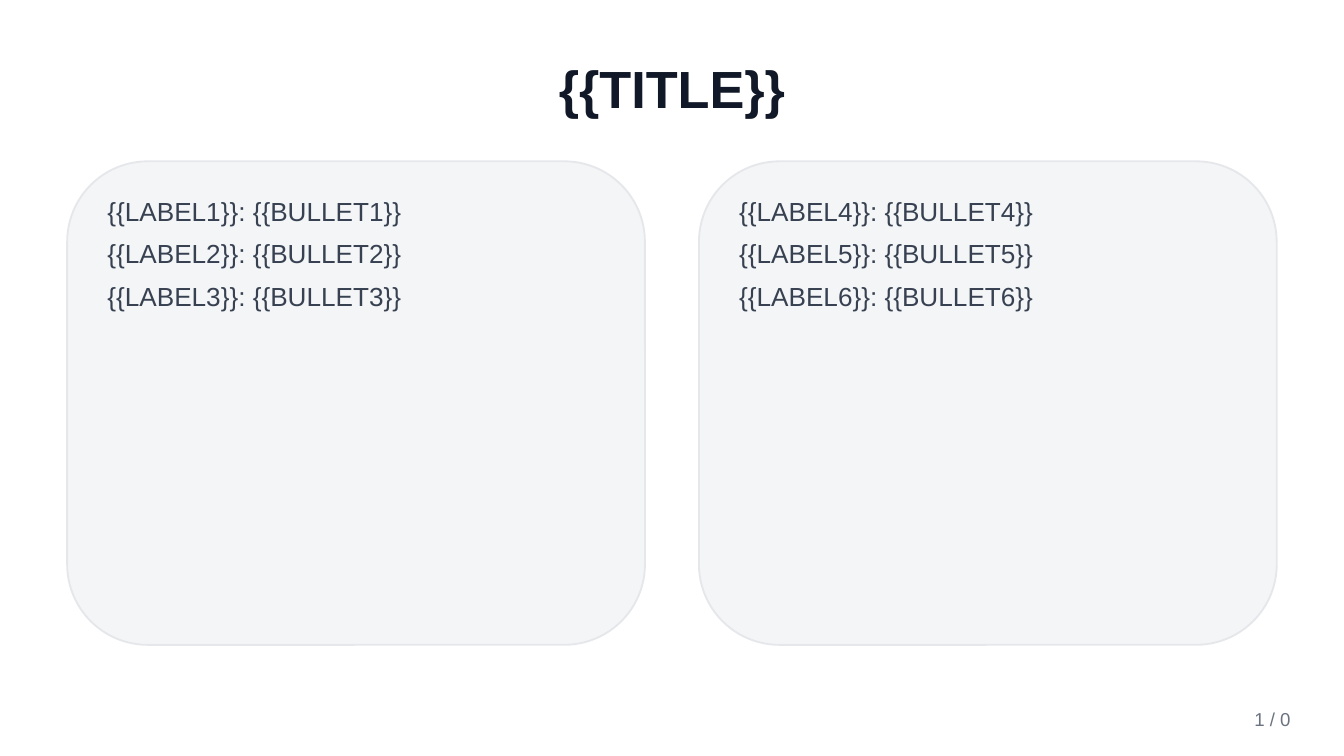
"""Build a title slide with two rounded panels of labelled bullets and a page number."""
from lxml import etree
from pptx import Presentation
from pptx.dml.color import RGBColor
from pptx.enum import shapes, text
from pptx.oxml.ns import qn
from pptx.util import Cm, Pt


def color(hex_string):
    return RGBColor.from_string(hex_string)


def write(box, lines, size, ink, align, anchor, bold=False, space_after=0):
    frame = box.text_frame
    frame.word_wrap = True
    frame.auto_size = text.MSO_AUTO_SIZE.NONE
    frame.vertical_anchor = anchor
    frame.text = "\n".join(lines)
    for paragraph in frame.paragraphs:
        paragraph.alignment = align
        paragraph.space_after = Pt(space_after)
        paragraph.font.name = "Arial"
        paragraph.font.size = Pt(size)
        paragraph.font.bold = bold
        paragraph.font.color.rgb = color(ink)


deck = Presentation()
deck.slide_width, deck.slide_height = Cm(25.4), Cm(14.29)
slide = deck.slides.add_slide(deck.slide_layouts[5])
slide.background.fill.solid()
slide.background.fill.fore_color.rgb = color("FFFFFF")

title = slide.shapes.title
title.left, title.top, title.width, title.height = Cm(1.27), Cm(0.76), Cm(22.86), Cm(1.78)
write(title, ["{{TITLE}}"], 28, "111827", text.PP_ALIGN.CENTER, text.MSO_ANCHOR.MIDDLE, bold=True)

panel_top, panel_width, panel_height = Cm(3.05), Cm(10.92), Cm(9.14)
padding = Cm(0.51)
for panel_left, numbers in ((Cm(1.27), (1, 2, 3)), (Cm(13.21), (4, 5, 6))):
    panel = slide.shapes.add_shape(
        shapes.MSO_SHAPE.ROUNDED_RECTANGLE, panel_left, panel_top, panel_width, panel_height)
    panel.shadow.inherit = False
    panel.fill.solid()
    panel.fill.fore_color.rgb = color("F3F4F6")
    panel_color = panel.fill._xPr.find(qn("a:solidFill"))[0]
    etree.SubElement(panel_color, qn("a:alpha"), val="90000")
    panel.line.color.rgb = color("E5E7EB")
    panel.line.width = Pt(1)

    bullets = slide.shapes.add_textbox(
        panel_left + padding, panel_top + padding,
        panel_width - 2 * padding, panel_height - 2 * padding)
    lines = [f"{{{{LABEL{n}}}}}: {{{{BULLET{n}}}}}" for n in numbers]
    write(bullets, lines, 14, "374151", text.PP_ALIGN.LEFT, text.MSO_ANCHOR.TOP, space_after=6)

page_number = slide.shapes.add_textbox(Cm(21.59), Cm(13.21), Cm(3.05), Cm(0.76))
write(page_number, ["1 / 0"], 10, "6B7280", text.PP_ALIGN.RIGHT, text.MSO_ANCHOR.MIDDLE)

deck.save("out.pptx")
